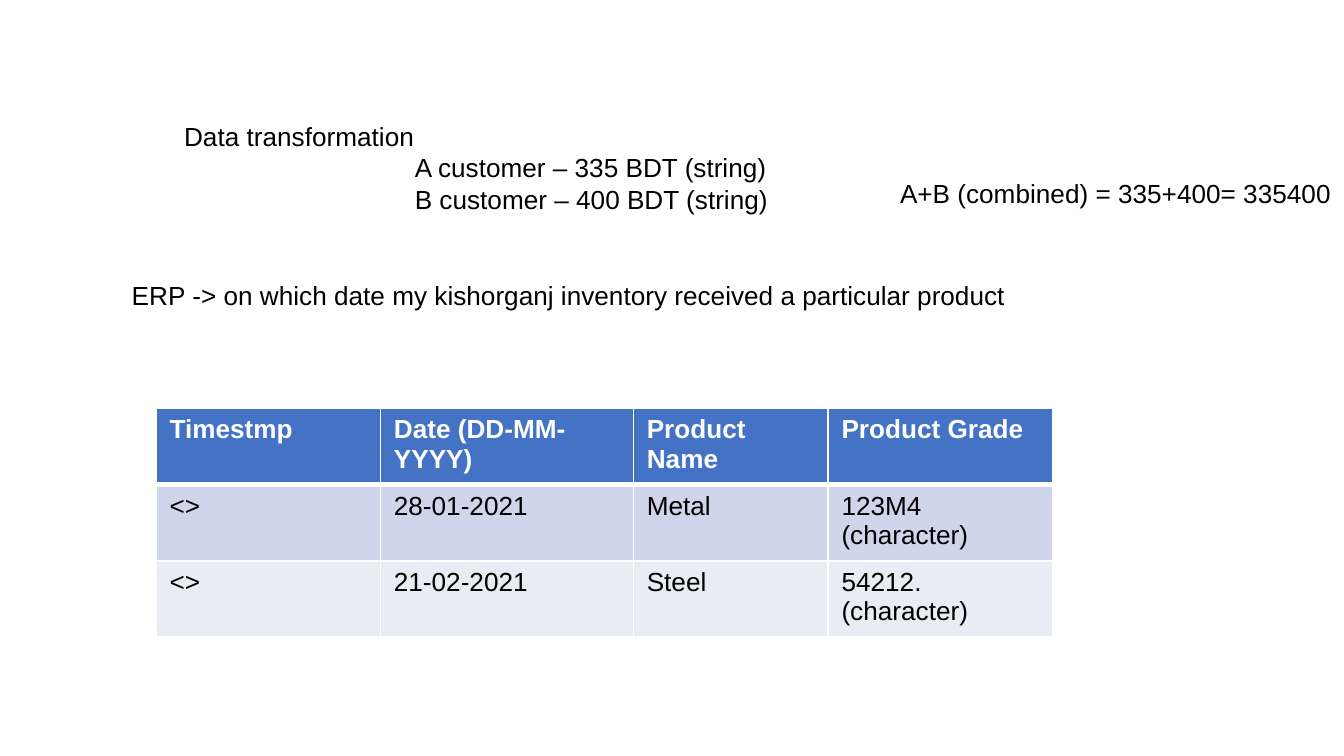
"""Build a slide on data transformation with notes and a product table."""
from lxml.etree import SubElement
from pptx import Presentation
from pptx.dml.color import RGBColor
from pptx.oxml.ns import qn
from pptx.util import Cm, Pt

BLACK = RGBColor(0x00, 0x00, 0x00)
WHITE = RGBColor(0xFF, 0xFF, 0xFF)
BLUE = RGBColor(0x44, 0x72, 0xC4)
BANDS = [RGBColor(0xCF, 0xD5, 0xEA), RGBColor(0xE9, 0xEB, 0xF5)]

NOTES = [
    (3.23, 2.16, 4.88, 1.44, ["Data transformation"]),
    (2.24, 5.16, 17.25, 0.86,
     ["ERP -> on which date my kishorganj inventory received a particular product"]),
    (7.59, 2.74, 7.47, 2.06,
     ["A customer – 335 BDT (string)", "B customer – 400 BDT (string)"]),
    (16.76, 3.23, 8.69, 0.86, ["A+B (combined) = 335+400= 335400"]),
]
WIDTHS = [4.24, 4.78, 3.68, 4.24]
ROWS = [
    ["Timestmp", "Date (DD-MM-YYYY)", "Product Name", "Product Grade"],
    ["<>", "28-01-2021", "Metal", "123M4 (character)"],
    ["<>", "21-02-2021", "Steel", "54212.(character)"],
]


def write(frame, lines, size=14, color=BLACK, bold=False, face="Arial"):
    frame.text = "\n".join(lines)
    for para in frame.paragraphs:
        for run in para.runs:
            font = run.font
            font.name, font.size, font.bold = face, Pt(size), bold
            font.color.rgb = color


def add_note(slide, left, top, width, height, lines):
    box = slide.shapes.add_textbox(Cm(left), Cm(top), Cm(width), Cm(height))
    box.text_frame.word_wrap = False
    write(box.text_frame, lines)


def add_edge(cell, side, width):
    props = cell._tc.get_or_add_tcPr()
    line = SubElement(props, qn(f"a:ln{side}"), w=str(Pt(width)))
    fill = SubElement(line, qn("a:solidFill"))
    SubElement(fill, qn("a:srgbClr"), val=str(WHITE))


def add_grid(slide, left, top, height):
    shape = slide.shapes.add_table(len(ROWS), len(WIDTHS), Cm(left), Cm(top),
                                   Cm(sum(WIDTHS)), Cm(height * len(ROWS)))
    grid = shape.table
    for column, width in zip(grid.columns, WIDTHS):
        column.width = Cm(width)
    for r, row in enumerate(ROWS):
        head = r == 0
        for c, label in enumerate(row):
            cell = grid.cell(r, c)
            write(cell.text_frame, [label], bold=head,
                  color=WHITE if head else BLACK)
            thick = {"T": 3 if r == 1 else 1, "B": 3 if head else 1}
            for side in "LRTB":
                add_edge(cell, side, thick.get(side, 1))
            cell.fill.solid()
            cell.fill.fore_color.rgb = BLUE if head else BANDS[(r - 1) % 2]


def main():
    deck = Presentation()
    deck.slide_width, deck.slide_height = Cm(25.4), Cm(14.29)
    slide = deck.slides.add_slide(deck.slide_layouts[6])
    for note in NOTES:
        add_note(slide, *note)
    add_grid(slide, 2.95, 7.72, 1.03)
    deck.save("out.pptx")


if __name__ == "__main__":
    main()
